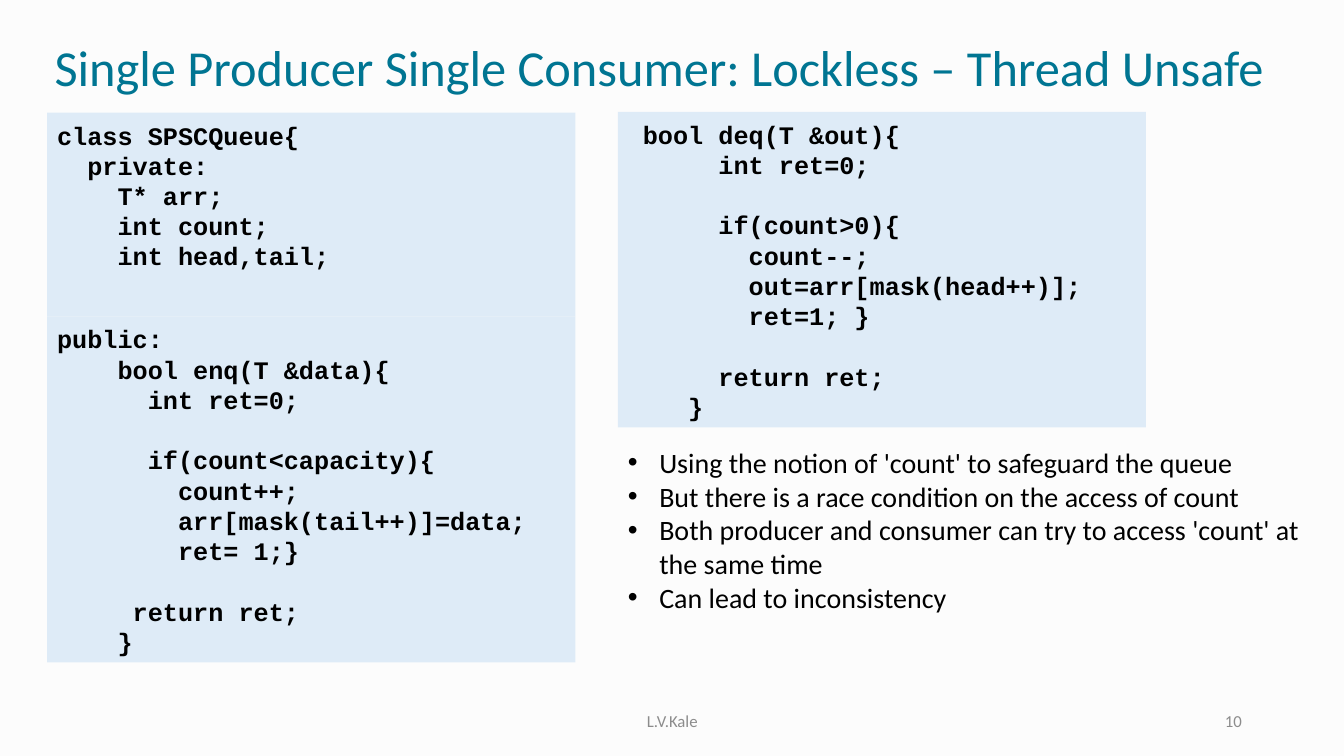
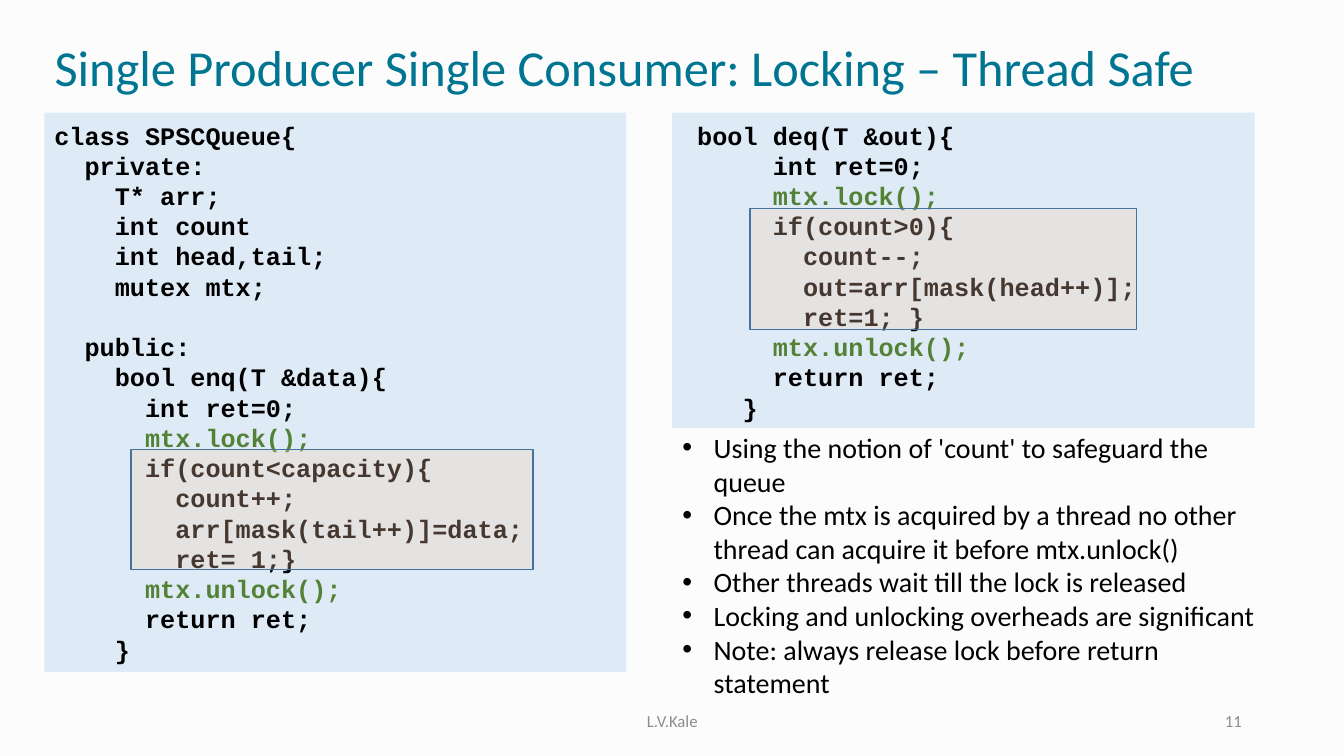
from copy import deepcopy

from lxml import etree
from pptx import Presentation
from pptx.dml.color import RGBColor
from pptx.enum.shapes import MSO_SHAPE
from pptx.enum.text import MSO_ANCHOR, MSO_AUTO_SIZE, PP_ALIGN
from pptx.oxml.ns import qn
from pptx.util import Cm, Pt

BACKGROUND, TEAL, BLACK, GRAY = "FCFCFC", "007592", "000000", "8C8C8C"
CODE_FILL, LOCK_GREEN = "DEEBF7", "538135"
CRITICAL_FILL, CRITICAL_LINE = "F8CBAD", "43739E"
TEXT_FONT, CODE_FONT = "Calibri", "Courier New"
CODE_PITCH = Pt(21.6)

TITLE_BOX = (1.12, 0.71, 32.16, 2.13)
FOOTER_BOX = (11.23, 17.65, 11.43, 1.02)
NUMBER_BOX = (23.93, 17.65, 7.62, 1.02)
FOOTER = "L.V.Kale"
FIRST_NUMBER = 10

UNSAFE_FIELDS = """class SPSCQueue{
  private:
    T* arr;
    int count;
    int head,tail;"""

UNSAFE_ENQ = """public:
    bool enq(T &data){
      int ret=0;

      if(count<capacity){
        count++;
        arr[mask(tail++)]=data;
        ret= 1;}

     return ret;
    }"""

UNSAFE_DEQ = """ bool deq(T &out){
      int ret=0;

      if(count>0){
        count--;
        out=arr[mask(head++)];
        ret=1; }

      return ret;
    }"""

SAFE_CLASS = """class SPSCQueue{
  private:
    T* arr;
    int count
    int head,tail;
    mutex mtx;

  public:
    bool enq(T &data){
      int ret=0;
      mtx.lock();
      if(count<capacity){
        count++;
        arr[mask(tail++)]=data;
        ret= 1;}
      mtx.unlock();
      return ret;
    }"""

SAFE_DEQ = """ bool deq(T &out){
      int ret=0;
      mtx.lock();
      if(count>0){
        count--;
        out=arr[mask(head++)];
        ret=1; }
      mtx.unlock();
      return ret;
    }"""

SLIDES = [
    {
        "title": "Single Producer Single Consumer: Lockless – Thread Unsafe",
        "code": [
            (UNSAFE_FIELDS, (1.19, 2.84, 13.31, 5.14)),
            (UNSAFE_ENQ, (1.19, 7.98, 13.31, 8.71)),
            (UNSAFE_DEQ, (15.57, 2.82, 13.31, 7.95)),
        ],
        "critical": [],
        "bullets_box": (15.57, 11.1, 17.73, 4.52),
        "bullets": [
            "Using the notion of 'count' to safeguard the queue",
            "But there is a race condition on the access of count",
            "Both producer and consumer can try to access 'count' at the same time",
            "Can lead to inconsistency",
        ],
    },
    {
        "title": "Single Producer Single Consumer: Locking – Thread Safe",
        "code": [
            (SAFE_CLASS, (1.12, 2.84, 14.66, 14.1)),
            (SAFE_DEQ, (16.94, 2.84, 14.68, 7.95)),
        ],
        "critical": [(18.9, 5.26, 9.75, 3.05), (3.3, 11.33, 10.13, 3.02)],
        "bullets_box": (16.94, 10.72, 15.11, 7.09),
        "bullets": [
            "Using the notion of 'count' to safeguard the queue",
            "Once the mtx is acquired by a thread no other thread can acquire it "
            "before mtx.unlock()",
            "Other threads wait till the lock is released",
            "Locking and unlocking overheads are significant",
            "Note: always release lock before return statement",
        ],
    },
]


def rgb(color):
    return RGBColor.from_string(color)


def place(sp, box):
    sp.left, sp.top, sp.width, sp.height = map(Cm, box)


def add_run(p, text, size, color, font=TEXT_FONT, bold=False):
    r = p.add_run()
    r.text = text
    r.font.name, r.font.size, r.font.bold = font, Pt(size), bold
    r.font.color.rgb = rgb(color)


def paragraphs(tf, count):
    """Yield count paragraphs, starting with the one the frame already has."""
    for i in range(count):
        yield tf.add_paragraph() if i else tf.paragraphs[0]


def add_rect(s, box, fill):
    sp = s.shapes.add_shape(MSO_SHAPE.RECTANGLE, *map(Cm, box))
    sp.shadow.inherit = False
    sp.fill.solid()
    sp.fill.fore_color.rgb = rgb(fill)
    sp.line.fill.background()
    return sp


def add_code(s, code, box):
    tf = add_rect(s, box, CODE_FILL).text_frame
    tf.word_wrap = True
    tf.vertical_anchor = MSO_ANCHOR.TOP
    tf.margin_top = Cm(0.18)
    lines = code.split("\n")
    shown = [(line, i > 0 and not lines[i - 1])
             for i, line in enumerate(lines) if line]
    for p, (line, after_gap) in zip(paragraphs(tf, len(shown)), shown):
        p.alignment = PP_ALIGN.LEFT
        p.line_spacing = CODE_PITCH
        p.space_before = CODE_PITCH if after_gap else Pt(0)
        color = LOCK_GREEN if line.strip().startswith("mtx.") else BLACK
        add_run(p, line, 18, color, CODE_FONT, True)


def add_critical_section(s, box):
    sp = add_rect(s, box, CRITICAL_FILL)
    sp.line.color.rgb = rgb(CRITICAL_LINE)
    sp.line.width = Pt(1)
    color = sp.fill._xPr.find(qn("a:solidFill"))[0]
    etree.SubElement(color, qn("a:alpha")).set("val", "28000")


def fill_bullets(body, items, box):
    place(body, box)
    tf = body.text_frame
    tf.auto_size = MSO_AUTO_SIZE.NONE
    for p, item in zip(paragraphs(tf, len(items)), items):
        pPr = p._p.get_or_add_pPr()
        pPr.set("marL", str(Cm(0.79)))
        pPr.set("indent", str(-Cm(0.79)))
        p.space_before = Pt(0)
        add_run(p, item, 20, BLACK)


def fill_title(title, text):
    title.text_frame.auto_size = MSO_AUTO_SIZE.NONE
    title.text_frame.vertical_anchor = MSO_ANCHOR.MIDDLE
    p = title.text_frame.paragraphs[0]
    p.alignment = PP_ALIGN.LEFT
    p.line_spacing = 0.9
    add_run(p, text, 36, TEAL)


def add_footer(s, number):
    """Take the footer and number placeholders over from the layout."""
    texts = {11: (FOOTER, PP_ALIGN.CENTER), 12: (str(number), PP_ALIGN.RIGHT)}
    for ph in s.slide_layout.placeholders:
        if ph.placeholder_format.idx in texts:
            s.shapes._spTree.append(deepcopy(ph._element))
    for ph in s.placeholders:
        if ph.placeholder_format.idx in texts:
            text, alignment = texts[ph.placeholder_format.idx]
            ph.text_frame.clear()
            p = ph.text_frame.paragraphs[0]
            p.alignment = alignment
            add_run(p, text, 12, GRAY)


def prepare_layout(prs):
    fill = prs.slide_master.background.fill
    fill.solid()
    fill.fore_color.rgb = rgb(BACKGROUND)
    layout = prs.slide_layouts[1]
    boxes = {0: TITLE_BOX, 11: FOOTER_BOX, 12: NUMBER_BOX}
    for ph in layout.placeholders:
        if ph.placeholder_format.idx in boxes:
            place(ph, boxes[ph.placeholder_format.idx])
    return layout


def main():
    prs = Presentation()
    prs.slide_width, prs.slide_height = Cm(33.87), Cm(19.05)
    layout = prepare_layout(prs)
    for number, content in enumerate(SLIDES, FIRST_NUMBER):
        s = prs.slides.add_slide(layout)
        fill_title(s.shapes.title, content["title"])
        fill_bullets(s.placeholders[1], content["bullets"], content["bullets_box"])
        add_footer(s, number)
        for code, box in content["code"]:
            add_code(s, code, box)
        for box in content["critical"]:
            add_critical_section(s, box)
    prs.save("out.pptx")


if __name__ == "__main__":
    main()
